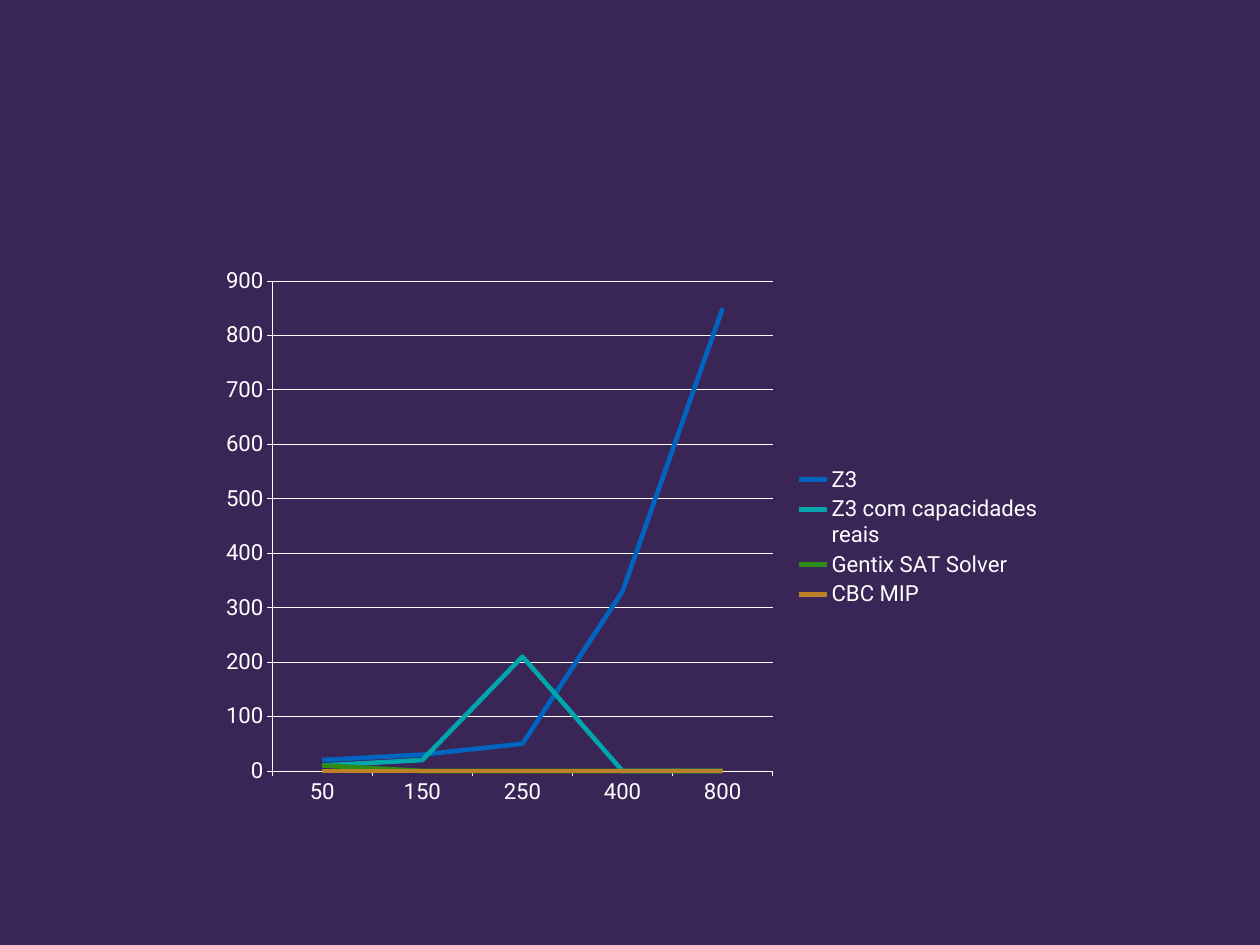
from lxml import etree
from pptx import Presentation
from pptx import util as u
from pptx.chart import data as chart_data
from pptx.dml.color import RGBColor
from pptx.enum import chart as chart_enum
from pptx.oxml import ns

SCALE = u.Inches(1) / 88.6
SLIDE_SIZE = (1260, 945)
CHART_BOX = (210, 257, 840, 560)
PLOT_BOX = (272, 281, 501, 490)
LEGEND_BOX = (793, 463, 250, 148)

PURPLE = RGBColor(0x39, 0x26, 0x57)
WHITE = RGBColor(0xFF, 0xFF, 0xFF)
BLUE = RGBColor(0x00, 0x65, 0xC1)
TEAL = RGBColor(0x00, 0xA6, 0xAC)
GREEN = RGBColor(0x30, 0x8B, 0x16)
OCHRE = RGBColor(0xBC, 0x80, 0x27)

SIZES = ("50", "150", "250", "400", "800")
SOLVERS = (
    ("Z3", (20, 30, 50, 330, 850), BLUE),
    ("Z3 com capacidades reais", (10, 20, 210, None, None), TEAL),
    ("Gentix SAT Solver", (10, 0, 0, 0, 0), GREEN),
    ("CBC MIP", (0, 0, 0, 0, 0), OCHRE),
)


def px(length):
    return u.Emu(round(length * SCALE))


def style_line(line, color, width):
    line.color.rgb = color
    line.width = u.Pt(width)


def place_in_chart(element, box, index, inner=False):
    for old in element.findall(ns.qn("c:layout")):
        element.remove(old)
    layout = etree.Element(ns.qn("c:layout"))
    manual = etree.SubElement(layout, ns.qn("c:manualLayout"))
    left, top, width, height = box
    chart_left, chart_top, chart_width, chart_height = CHART_BOX
    settings = [("layoutTarget", "inner")] if inner else []
    settings += [
        ("xMode", "edge"),
        ("yMode", "edge"),
        ("x", round((left - chart_left) / chart_width, 3)),
        ("y", round((top - chart_top) / chart_height, 3)),
        ("w", round(width / chart_width, 3)),
        ("h", round(height / chart_height, 3)),
    ]
    for name, value in settings:
        etree.SubElement(manual, ns.qn(f"c:{name}"), val=str(value))
    element.insert(index, layout)


def style_axis(axis, gridlines):
    axis.major_tick_mark = chart_enum.XL_TICK_MARK.OUTSIDE
    axis.minor_tick_mark = chart_enum.XL_TICK_MARK.NONE
    axis.has_major_gridlines = gridlines
    style_line(axis.format.line, WHITE, 0.75)
    if gridlines:
        style_line(axis.major_gridlines.format.line, WHITE, 0.75)


def style_legend(chart):
    chart.has_legend = True
    chart.legend.position = chart_enum.XL_LEGEND_POSITION.RIGHT
    chart.legend.include_in_layout = False


def add_solver_chart(slide):
    data = chart_data.CategoryChartData()
    data.categories = SIZES
    for name, times, _ in SOLVERS:
        data.add_series(name, times)
    chart = slide.shapes.add_chart(
        chart_enum.XL_CHART_TYPE.LINE, *map(px, CHART_BOX), data
    ).chart
    chart.has_title = False
    chart.font.name = "Roboto"
    chart.font.size = u.Pt(18)
    chart.font.color.rgb = WHITE

    plot = chart.plots[0]
    plot.vary_by_categories = False
    for series, (_, _, color) in zip(plot.series, SOLVERS):
        series.smooth = False
        series.marker.style = chart_enum.XL_MARKER_STYLE.NONE
        style_line(series.format.line, color, 3.75)

    style_axis(chart.category_axis, gridlines=False)
    style_axis(chart.value_axis, gridlines=True)
    chart.value_axis.minimum_scale = 0
    chart.value_axis.maximum_scale = 900
    chart.value_axis.major_unit = 100
    style_legend(chart)

    root = chart.element
    place_in_chart(root.find(".//" + ns.qn("c:plotArea")), PLOT_BOX, 0, inner=True)
    place_in_chart(root.find(".//" + ns.qn("c:legend")), LEGEND_BOX, 1)
    root.find(".//" + ns.qn("c:dispBlanksAs")).set("val", "zero")


def main():
    presentation = Presentation()
    presentation.slide_width, presentation.slide_height = map(px, SLIDE_SIZE)
    slide = presentation.slides.add_slide(presentation.slide_layouts[6])
    slide.background.fill.solid()
    slide.background.fill.fore_color.rgb = PURPLE
    add_solver_chart(slide)
    presentation.save("out.pptx")


main()
